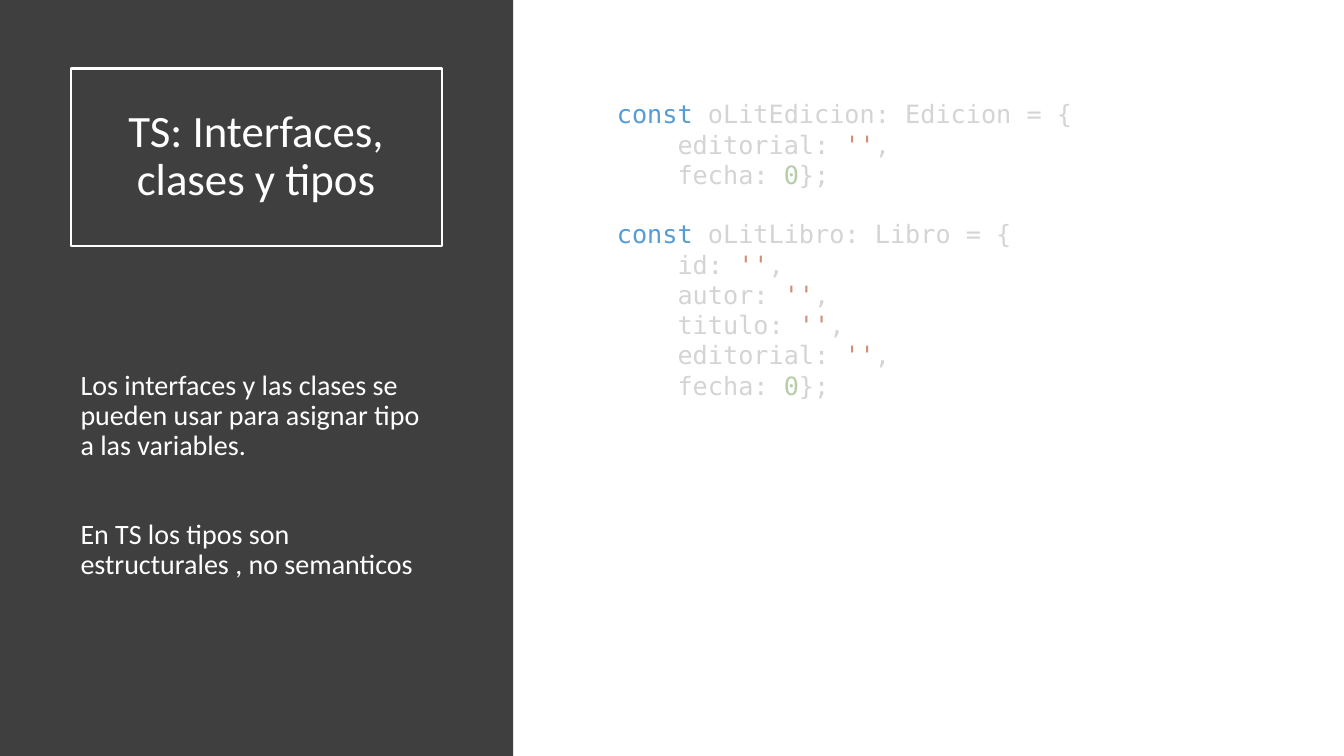
from pptx import Presentation
from pptx.dml.color import RGBColor
from pptx.enum import shapes, text
from pptx.util import Inches, Pt

COLORS = {
    "panel": "3F3F3F",
    "white": "FFFFFF",
    "keyword": "569CD6",
    "plain": "D4D4D4",
    "string": "CE9178",
    "number": "B5CEA8",
}
OBJECTS = [
    ("oLitEdicion: Edicion", ["editorial", "fecha"]),
    ("oLitLibro: Libro", ["id", "autor", "titulo", "editorial", "fecha"]),
]
NOTES = [
    "Los interfaces y las clases se pueden usar para asignar tipo a las variables.",
    "En TS los tipos son estructurales , no semanticos",
]


def color(name):
    """Return the named colour."""
    return RGBColor.from_string(COLORS[name])


def style(font, size, tint, face="Calibri"):
    """Set the size, colour and typeface of a font."""
    font.size = Pt(size)
    font.name = face
    font.color.rgb = color(tint)


def add_rectangle(page, left, top, width, height, fill=None, line=None):
    """Add a rectangle with an optional fill and outline."""
    box = page.shapes.add_shape(
        shapes.MSO_SHAPE.RECTANGLE,
        Inches(left), Inches(top), Inches(width), Inches(height))
    box.shadow.inherit = False
    if fill:
        box.fill.solid()
        box.fill.fore_color.rgb = color(fill)
    else:
        box.fill.background()
    if line:
        box.line.color.rgb = color(line)
        box.line.width = Pt(1.5)
    else:
        box.line.fill.background()
    return box


def add_text_box(page, left, top, width, height):
    """Add a wrapping text box and return its frame."""
    box = page.shapes.add_textbox(
        Inches(left), Inches(top), Inches(width), Inches(height))
    box.text_frame.word_wrap = True
    return box.text_frame


def add_title(page, title):
    """Add the outlined title."""
    frame = add_rectangle(page, 0.7, 0.68, 3.68, 1.76, line="white").text_frame
    frame.text = title
    frame.word_wrap = True
    frame.vertical_anchor = text.MSO_ANCHOR.MIDDLE
    para = frame.paragraphs[0]
    para.alignment = text.PP_ALIGN.CENTER
    para.line_spacing = 0.9
    style(para.runs[0].font, 32, "white")


def add_notes(page, notes):
    """Add the explanations under the title."""
    frame = add_text_box(page, 0.7, 3.19, 3.68, 3.05)
    frame.margin_top = Inches(0.49)
    frame.text = "\n".join(notes)
    for index, para in enumerate(frame.paragraphs):
        para.line_spacing = 0.9
        para.space_before = Pt(42 if index else 0)
        style(para.runs[0].font, 20, "white")


def code_lines(declaration, fields):
    """Return the coloured spans of each line of an object literal."""
    lines = [[("const ", "keyword"), (f"{declaration} = {{", "plain")]]
    for field in fields:
        value = ("0", "number") if field == "fecha" else ("''", "string")
        ending = "};" if field == fields[-1] else ","
        lines.append([(f"    {field}: ", "plain"), value, (ending, "plain")])
    return lines


def add_code(page, objects):
    """Add the object literals with a line of space between them."""
    frame = add_text_box(page, 6.02, 0.93, 6.67, 3.13)
    para = frame.paragraphs[0]
    for position, (declaration, fields) in enumerate(objects):
        for row, spans in enumerate(code_lines(declaration, fields)):
            if position or row:
                para = frame.add_paragraph()
            if position and not row:
                para.space_before = Pt(21)
            for content, tint in spans:
                span = para.add_run()
                span.text = content
                style(span.font, 18, tint, "DejaVu Sans Mono")


def main():
    """Build and save the slide."""
    deck = Presentation()
    deck.slide_width, deck.slide_height = Inches(13.33), Inches(7.5)
    page = deck.slides.add_slide(deck.slide_layouts[6])
    add_rectangle(page, 0, 0, 5.09, 7.5, fill="panel")
    add_title(page, "TS: Interfaces, clases y tipos")
    add_notes(page, NOTES)
    add_code(page, OBJECTS)
    deck.save("out.pptx")


if __name__ == "__main__":
    main()
